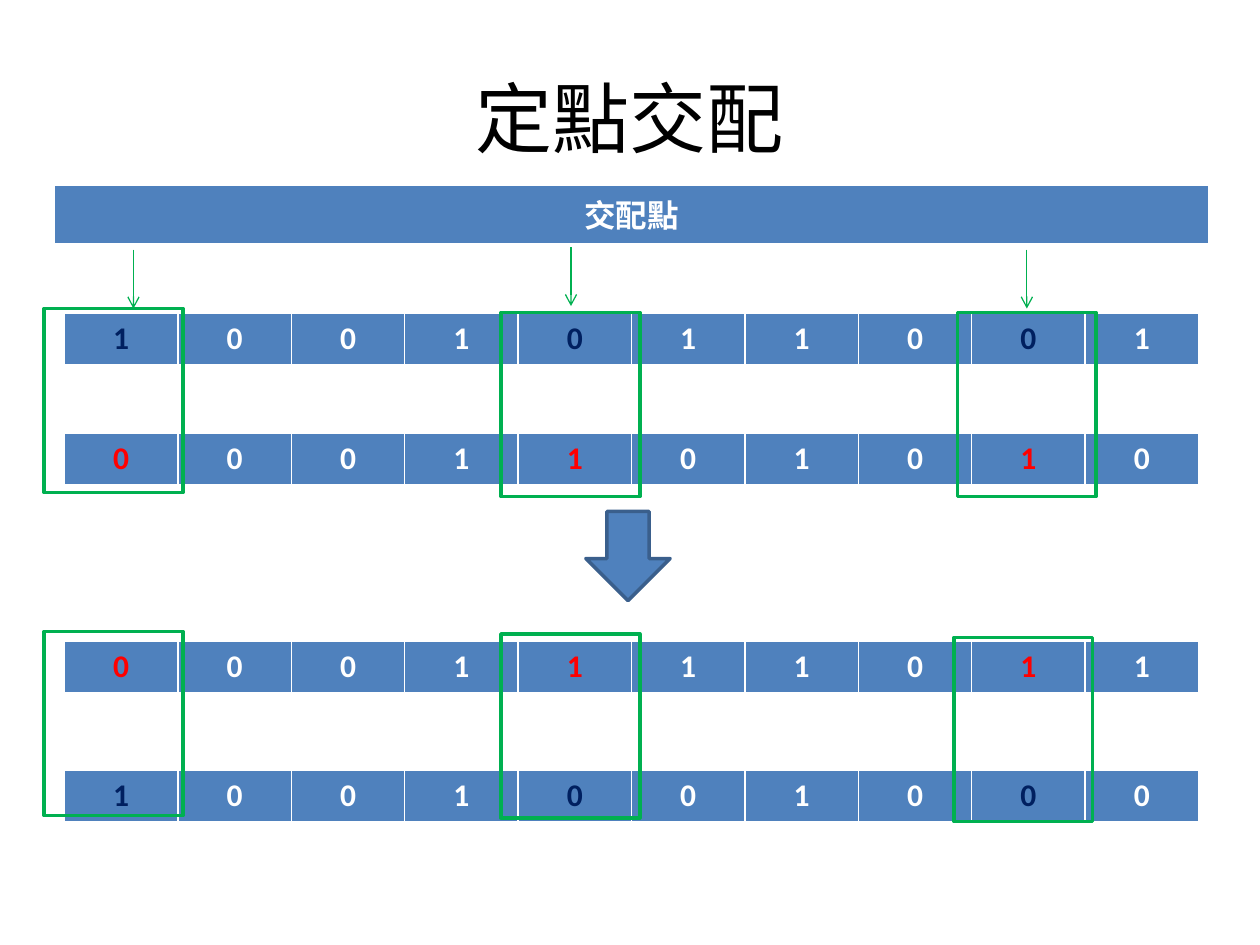
from dataclasses import dataclass

from lxml.etree import SubElement
from pptx import Presentation
from pptx.dml.color import RGBColor
from pptx.enum.shapes import MSO_CONNECTOR as Connector, MSO_SHAPE as Shape
from pptx.enum.text import MSO_ANCHOR as Anchor, PP_ALIGN as Align
from pptx.oxml.ns import qn
from pptx.util import Cm, Pt

COLORS = {
    "black": "000000",
    "white": "FFFFFF",
    "blue": "4F81BD",
    "blue_edge": "3A5F8C",
    "navy": "002060",
    "red": "FF0000",
    "green": "00B050",
}
CROSS_POINTS = (0, 4, 8)
CHROMOSOME_LEFT, CHROMOSOME_WIDTH, CHROMOSOME_HEIGHT = 1.3, 22.86, 1.04
FRAME_WIDTH, FRAME_HEIGHT = 2.8, 3.71
ARROW_LENGTH = 1.19


@dataclass
class Chromosome:
    genes: str
    top: float
    swap_color: str


@dataclass
class Place:
    left: float
    top: float


CHROMOSOMES = (
    Chromosome("1001011001", 6.32, "navy"),
    Chromosome("0001101010", 8.74, "red"),
    Chromosome("0001111011", 12.93, "red"),
    Chromosome("1001001000", 15.52, "navy"),
)
POINT_ARROWS = (Place(2.69, 5.03), Place(11.51, 4.98), Place(20.7, 5.03))
SWAP_FRAMES = (
    Place(0.89, 6.22), Place(10.1, 6.3), Place(19.3, 6.3),
    Place(0.89, 12.73), Place(10.1, 12.78), Place(19.23, 12.85),
)


def rgb(name: str) -> RGBColor:
    return RGBColor.from_string(COLORS[name])


def write(frame, text: str, *, size: float = 18, color: str = "white",
          bold: bool = True) -> None:
    paragraph = frame.paragraphs[0]
    paragraph.alignment = Align.CENTER
    run = paragraph.add_run()
    run.text = text
    run.font.name = "Calibri"
    run.font.size = Pt(size)
    run.font.bold = bold
    run.font.color.rgb = rgb(color)


def add_row(slide, entries: list[tuple[str, str]], left: float, top: float,
            width: float, height: float) -> None:
    table = slide.shapes.add_table(
        1, len(entries), Cm(left), Cm(top), Cm(width), Cm(height)).table
    table.horz_banding = False
    for cell, (text, color) in zip(table.rows[0].cells, entries):
        cell.fill.solid()
        cell.fill.fore_color.rgb = rgb("blue")
        write(cell.text_frame, text, color=color)


def add_chromosome(slide, chromosome: Chromosome) -> None:
    entries = [
        (gene, chromosome.swap_color if locus in CROSS_POINTS else "white")
        for locus, gene in enumerate(chromosome.genes)
    ]
    add_row(slide, entries, CHROMOSOME_LEFT, chromosome.top,
            CHROMOSOME_WIDTH, CHROMOSOME_HEIGHT)


def add_point_arrow(slide, start: Place) -> None:
    arrow = slide.shapes.add_connector(
        Connector.STRAIGHT, Cm(start.left), Cm(start.top),
        Cm(start.left), Cm(start.top + ARROW_LENGTH))
    arrow.line.color.rgb = rgb("green")
    arrow.line.width = Pt(0.75)
    SubElement(arrow.line._get_or_add_ln(), qn("a:tailEnd"), type="arrow")
    SubElement(arrow._element.spPr, qn("a:effectLst"))


def add_outlined(slide, kind: Shape, place: Place, width: float, height: float,
                 edge: str, fill: str | None = None) -> None:
    shape = slide.shapes.add_shape(
        kind, Cm(place.left), Cm(place.top), Cm(width), Cm(height))
    shape.shadow.inherit = False
    shape.line.color.rgb = rgb(edge)
    shape.line.width = Pt(2)
    if fill:
        shape.fill.solid()
        shape.fill.fore_color.rgb = rgb(fill)
    else:
        shape.fill.background()


def main() -> None:
    deck = Presentation()
    deck.slide_width, deck.slide_height = Cm(25.4), Cm(19.05)
    slide = deck.slides.add_slide(deck.slide_layouts[5])

    title = slide.shapes.title
    title.left, title.top = Cm(1.27), Cm(0.76)
    title.width, title.height = Cm(22.86), Cm(3.18)
    title.text_frame.vertical_anchor = Anchor.MIDDLE
    write(title.text_frame, "定點交配", size=44, color="black", bold=False)

    add_row(slide, [("交配點", "white")], 1.09, 3.73, 23.27, 1.19)
    for chromosome in CHROMOSOMES:
        add_chromosome(slide, chromosome)
    for start in POINT_ARROWS:
        add_point_arrow(slide, start)
    for place in SWAP_FRAMES:
        add_outlined(slide, Shape.RECTANGLE, place, FRAME_WIDTH, FRAME_HEIGHT, "green")
    add_outlined(slide, Shape.DOWN_ARROW, Place(11.81, 10.31), 1.7, 1.8,
                 "blue_edge", fill="blue")

    deck.save("out.pptx")


if __name__ == "__main__":
    main()
